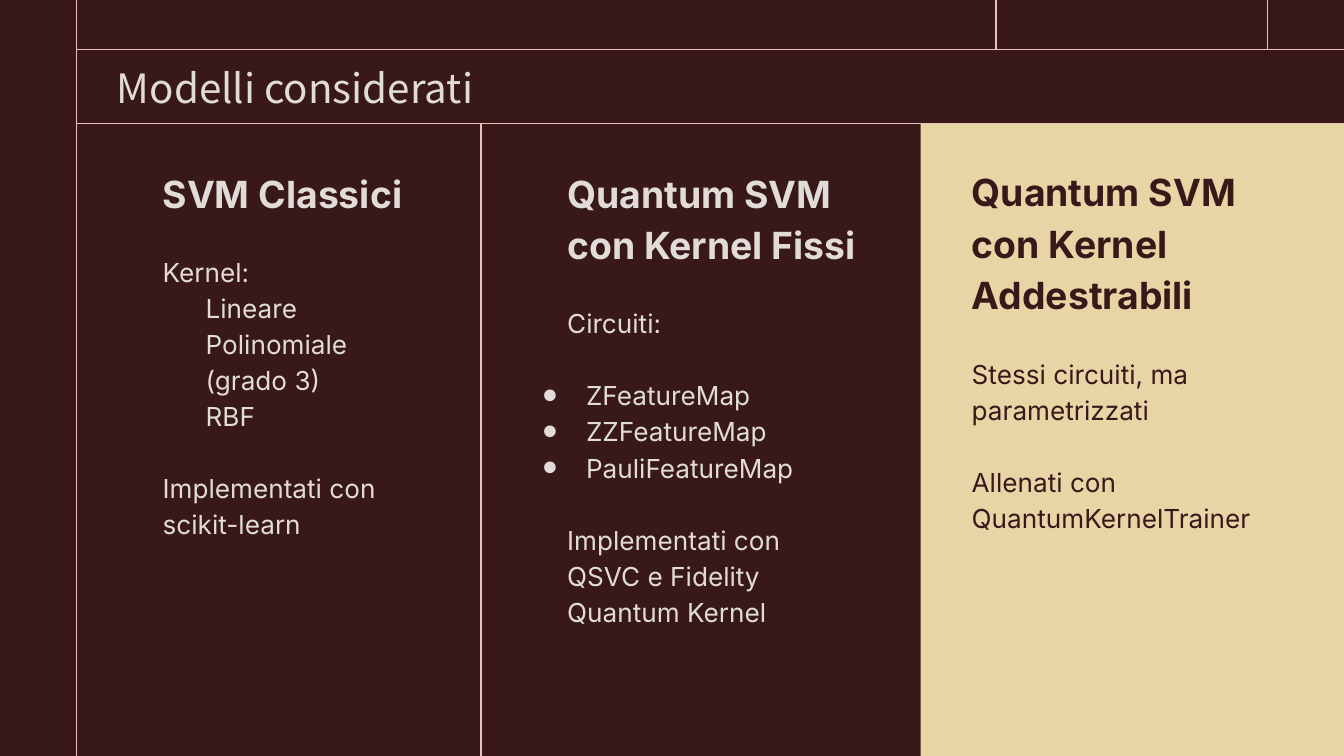
"""Build the slide that compares the three SVM model families."""
from lxml.etree import SubElement
from pptx import Presentation
from pptx.dml.color import RGBColor
from pptx.enum.shapes import MSO_CONNECTOR as Connector, MSO_SHAPE as Shape
from pptx.enum.text import MSO_ANCHOR as Anchor, MSO_AUTO_SIZE as AutoSize, PP_ALIGN as Align
from pptx.oxml.ns import qn
from pptx.util import Inches, Pt

WIDTH = 10
HEIGHT = WIDTH * 9 / 16
LEFT, TOP, MIDDLE = 0.57, 0.37, 0.92
PANEL_LEFT = 6.85
COLORS = {"dark": "381819", "light": "E1DCD8", "line": "E6C5B8", "panel": "E7D5A6"}
BLANK_LINE = 19.3

TITLE = "Modelli considerati"
LINES = [
    (7.41, 0, 7.41, TOP),
    (9.43, 0, 9.43, TOP),
    (LEFT, 0, LEFT, HEIGHT),
    (LEFT, TOP, WIDTH, TOP),
    (LEFT, MIDDLE, WIDTH, MIDDLE),
    (3.58, MIDDLE, 3.58, HEIGHT),
]
STYLES = {
    "head": {"size": 20, "bold": True, "margin": 0.18},
    "text": {"size": 14, "bold": False, "margin": 0.18},
    "inset": {"size": 14, "bold": False, "margin": 0.5},
    "bullet": {"size": 14, "bold": False, "margin": 0.32},
}
COLUMNS = [
    {"at": (0.83, 1.22, 2.49, 3.19), "color": "light", "groups": [
        [("head", "SVM Classici")],
        [("text", "Kernel:"), ("inset", "Lineare"),
         ("inset", "Polinomiale (grado 3)"), ("inset", "RBF")],
        [("text", "Implementati con scikit-learn")],
    ]},
    {"at": (3.84, 1.22, 2.75, 3.19), "color": "light", "groups": [
        [("head", "Quantum SVM con Kernel Fissi")],
        [("text", "Circuiti:")],
        [("bullet", "ZFeatureMap"), ("bullet", "ZZFeatureMap"), ("bullet", "PauliFeatureMap")],
        [("text", "Implementati con QSVC e Fidelity Quantum Kernel")],
    ]},
    {"at": (PANEL_LEFT, 1.21, 3.01, 3.19), "color": "dark", "groups": [
        [("head", "Quantum SVM con Kernel Addestrabili")],
        [("text", "Stessi circuiti, ma parametrizzati")],
        [("text", "Allenati con QuantumKernelTrainer")],
    ]},
]


def rgb(name):
    return RGBColor.from_string(COLORS[name])


def place(box, at):
    box.left, box.top, box.width, box.height = map(Inches, at)


def set_frame(frame, insets, anchor):
    frame.word_wrap = True
    frame.auto_size = AutoSize.NONE
    frame.vertical_anchor = anchor
    (frame.margin_left, frame.margin_top,
     frame.margin_right, frame.margin_bottom) = map(Inches, insets)


def add_span(para, text, font_name, size, color, bold=False):
    span = para.add_run()
    span.text = text
    span.font.name = font_name
    span.font.size = Pt(size)
    span.font.bold = bold
    span.font.color.rgb = rgb(color)


def set_bullet(para, margin, color, bulleted):
    properties = para._p.get_or_add_pPr()
    properties.set("marL", str(Inches(margin)))
    properties.set("indent", str(Inches(-margin if bulleted else 0)))
    if bulleted:
        bullet_color = SubElement(properties, qn("a:buClr"))
        SubElement(bullet_color, qn("a:srgbClr"), val=COLORS[color])
        SubElement(properties, qn("a:buSzPct"), val="60000")
        SubElement(properties, qn("a:buFont"), typeface="Inter")
        SubElement(properties, qn("a:buChar"), char="●")
    else:
        SubElement(properties, qn("a:buNone"))


def fill_column(box, column):
    place(box, column["at"])
    frame = box.text_frame
    set_frame(frame, (0.2, 0, 0.2, 0.16), Anchor.TOP)
    for group_index, group in enumerate(column["groups"]):
        for item_index, (kind, text) in enumerate(group):
            first = group_index == item_index == 0
            para = frame.paragraphs[0] if first else frame.add_paragraph()
            style = STYLES[kind]
            para.alignment = Align.LEFT
            para.line_spacing = 1.15
            para.space_before = Pt(BLANK_LINE if group_index and not item_index else 0)
            para.space_after = Pt(0)
            set_bullet(para, style["margin"], column["color"], kind == "bullet")
            add_span(para, text, "Inter", style["size"], column["color"], style["bold"])


def add_line(page, ends):
    line = page.shapes.add_connector(Connector.STRAIGHT, *map(Inches, ends))
    line.line.color.rgb = rgb("line")
    line.line.width = Pt(0.75)
    SubElement(line._element.spPr, qn("a:effectLst"))


def main():
    deck = Presentation()
    deck.slide_width, deck.slide_height = Inches(WIDTH), Inches(HEIGHT)
    page = deck.slides.add_slide(deck.slide_layouts[1])
    page.background.fill.solid()
    page.background.fill.fore_color.rgb = rgb("dark")

    panel_at = (PANEL_LEFT, MIDDLE, WIDTH - PANEL_LEFT, HEIGHT - MIDDLE)
    panel = page.shapes.add_shape(Shape.RECTANGLE, *map(Inches, panel_at))
    panel.shadow.inherit = False
    panel.fill.solid()
    panel.fill.fore_color.rgb = rgb("panel")
    panel.line.fill.background()
    for ends in LINES:
        add_line(page, ends)

    title = page.shapes.title
    place(title, (LEFT, TOP, 8.86, 0.56))
    set_frame(title.text_frame, (0.3, 0.1, 0.1, 0.1), Anchor.MIDDLE)
    para = title.text_frame.paragraphs[0]
    para.alignment = Align.LEFT
    add_span(para, TITLE, "Noto Sans CJK KR", 21.6, "light")

    fill_column(page.placeholders[1], COLUMNS[0])
    for column in COLUMNS[1:]:
        fill_column(page.shapes.add_textbox(*map(Inches, column["at"])), column)
    deck.save("out.pptx")


if __name__ == "__main__":
    main()
